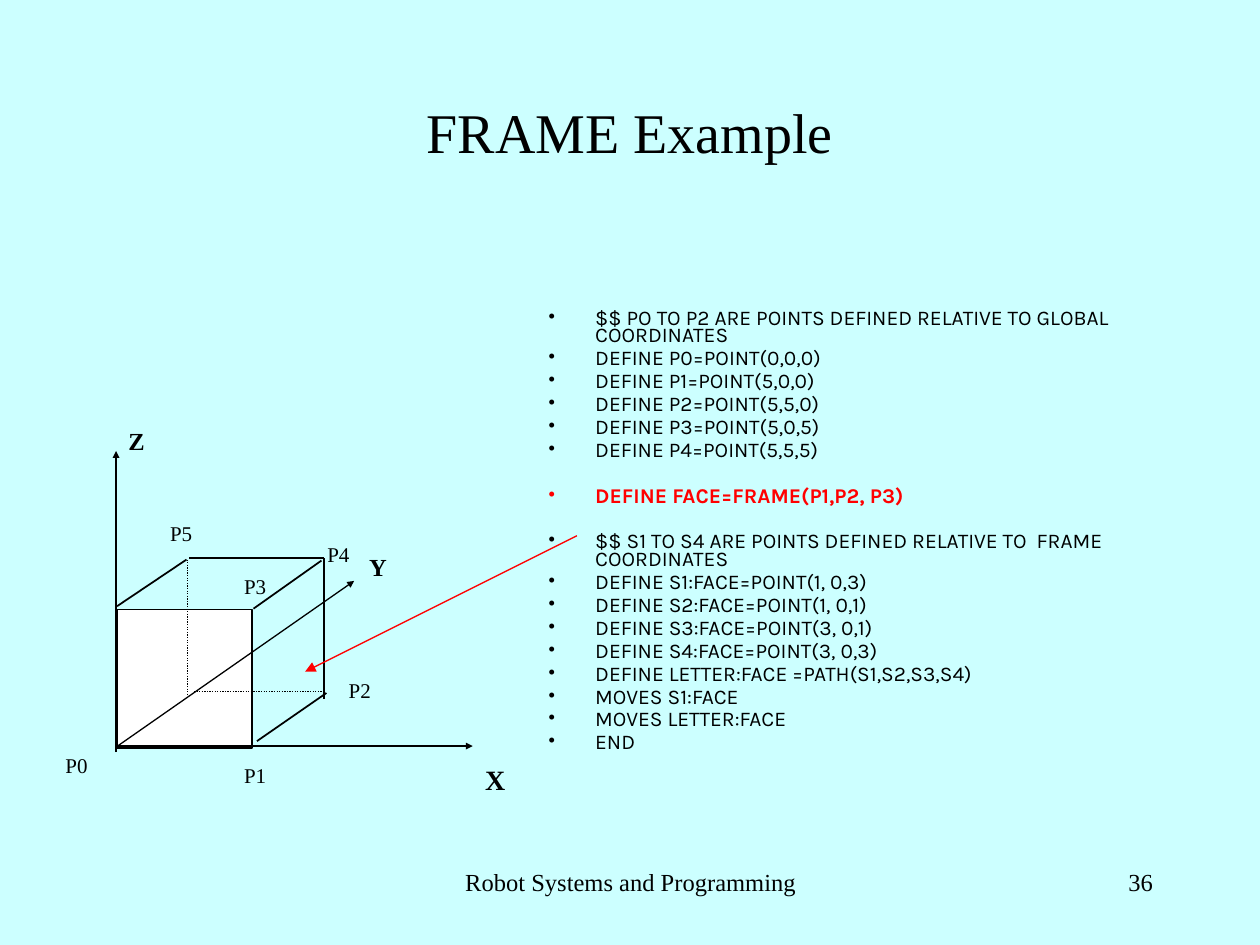
from lxml.etree import SubElement as Sub
from pptx import Presentation
from pptx.dml.color import RGBColor
from pptx.enum.dml import MSO_LINE as Dash
from pptx.enum.shapes import MSO_CONNECTOR as Link, MSO_SHAPE as Form
from pptx.enum.text import MSO_ANCHOR as Anchor, PP_ALIGN as Align
from pptx.oxml.ns import qn
from pptx.util import Cm, Pt

BLACK = RGBColor(0, 0, 0)
WHITE = RGBColor(255, 255, 255)
RED = RGBColor(255, 0, 0)
SKY = RGBColor(0xCC, 0xFF, 0xFF)
SERIF = "Times New Roman"
SANS = "Karla"

deck = Presentation()
deck.slide_width, deck.slide_height = Cm(25.4), Cm(19.05)
slide = deck.slides.add_slide(deck.slide_layouts[6])
slide.background.fill.solid()
slide.background.fill.fore_color.rgb = SKY


def write(text, box, size, align=Align.LEFT, bold=False):
    frame = slide.shapes.add_textbox(*map(Cm, box)).text_frame
    frame.word_wrap = True
    para = frame.paragraphs[0]
    para.alignment = align
    run = para.add_run()
    run.text = text
    run.font.size, run.font.name, run.font.bold = Pt(size), SERIF, bold
    run.font.color.rgb = BLACK
    return frame


def draw(ends, width=0.75, color=BLACK, arrow=None, dash=None):
    line = slide.shapes.add_connector(Link.STRAIGHT, *map(Cm, ends))
    line.line.width = Pt(width)
    line.line.color.rgb = color
    if dash:
        line.line.dash_style = dash
    if arrow:
        Sub(line.line._get_or_add_ln(), qn("a:tailEnd"), type="triangle", w=arrow, len=arrow)
    Sub(line._element.spPr, qn("a:effectLst"))


# Footer and title
write("Robot Systems and Programming", (8.69, 17.35, 8.05, 1.27), 14, Align.CENTER)
write("36", (18.21, 17.35, 5.28, 1.27), 14, Align.RIGHT)
title = write("FRAME Example", (1.9, 1.7, 21.6, 1.9), 32, Align.CENTER)
title.vertical_anchor = Anchor.MIDDLE

# Program listing, in three blocks set apart by space
blocks = [
    (BLACK, [
        "$$ PO TO P2 ARE POINTS DEFINED RELATIVE TO GLOBAL  COORDINATES",
        "DEFINE P0=POINT(0,0,0)",
        "DEFINE P1=POINT(5,0,0)",
        "DEFINE P2=POINT(5,5,0)",
        "DEFINE P3=POINT(5,0,5)",
        "DEFINE P4=POINT(5,5,5)",
    ]),
    (RED, ["DEFINE FACE=FRAME(P1,P2, P3)"]),
    (BLACK, [
        "$$ S1 TO S4 ARE POINTS DEFINED RELATIVE TO  FRAME COORDINATES",
        "DEFINE S1:FACE=POINT(1, 0,3)",
        "DEFINE S2:FACE=POINT(1, 0,1)",
        "DEFINE S3:FACE=POINT(3, 0,1)",
        "DEFINE S4:FACE=POINT(3, 0,3)",
        "DEFINE LETTER:FACE =PATH(S1,S2,S3,S4)",
        "MOVES S1:FACE",
        "MOVES LETTER:FACE",
        "END",
    ]),
]
code = slide.shapes.add_textbox(Cm(10.8), Cm(6.15), Cm(12.06), Cm(10.16)).text_frame
code.word_wrap = True
para = code.paragraphs[0]
for part, (color, rows) in enumerate(blocks):
    for row, text in enumerate(rows):
        if part or row:
            para = code.add_paragraph()
        para.line_spacing = 0.7
        para.space_before = Pt(16 if part and not row else 3)
        props = para._p.get_or_add_pPr()
        props.set("marL", str(Cm(0.95)))
        props.set("indent", str(-Cm(0.95)))
        tint = Sub(props, qn("a:buClr"))
        Sub(tint, qn("a:srgbClr"), val=str(color))
        Sub(props, qn("a:buFont"), typeface=SERIF)
        Sub(props, qn("a:buChar"), char="•")
        run = para.add_run()
        run.text = text
        run.font.size, run.font.name = Pt(12), SANS
        run.font.bold = color == RED
        run.font.color.rgb = color

# Front face of the cube
face = slide.shapes.add_shape(Form.RECTANGLE, Cm(2.36), Cm(12.29), Cm(2.72), Cm(2.79))
face.shadow.inherit = False
face.fill.solid()
face.fill.fore_color.rgb = WHITE
face.line.color.rgb = BLACK
face.line.width = Pt(0.75)

# Axes Z, X and Y
for ends in [
    (2.34, 15.16, 2.34, 9.09),
    (2.36, 15.04, 9.53, 15.04),
    (2.34, 15.06, 7.14, 11.71),
]:
    draw(ends, arrow="sm")

# Visible edges
for ends in [
    (5.11, 12.27, 6.48, 11.3),
    (2.36, 12.22, 3.76, 11.28),
    (5.18, 14.94, 6.58, 13.97),
    (3.81, 11.25, 6.53, 11.25),
    (6.53, 11.25, 6.53, 14.1),
]:
    draw(ends, width=1)

# Hidden edges
for ends in [(3.91, 13.94, 6.55, 13.94), (3.78, 11.28, 3.78, 14)]:
    draw(ends, dash=Dash.ROUND_DOT)

# Corner names
for name, left, top in [
    ("P1", 4.67, 15.24),
    ("P3", 4.67, 11.43),
    ("P2", 6.78, 13.54),
    ("P0", 1.07, 15.04),
    ("P4", 6.35, 10.8),
    ("P5", 3.18, 10.36),
]:
    write(name, (left, top, 1.1, 0.76), 12)

# Axis names
for name, box, size in [
    ("X", (9.53, 15.24, 1.09, 0.94), 16),
    ("Y", (7.19, 11, 1.47, 0.86), 14),
    ("Z", (2.34, 8.46, 1.27, 0.86), 14),
]:
    write(name, box, size, bold=True)

# Pointer from the listing to the framed face
draw((11.63, 10.8, 6.15, 13.54), color=RED, arrow="med")

deck.save("out.pptx")
